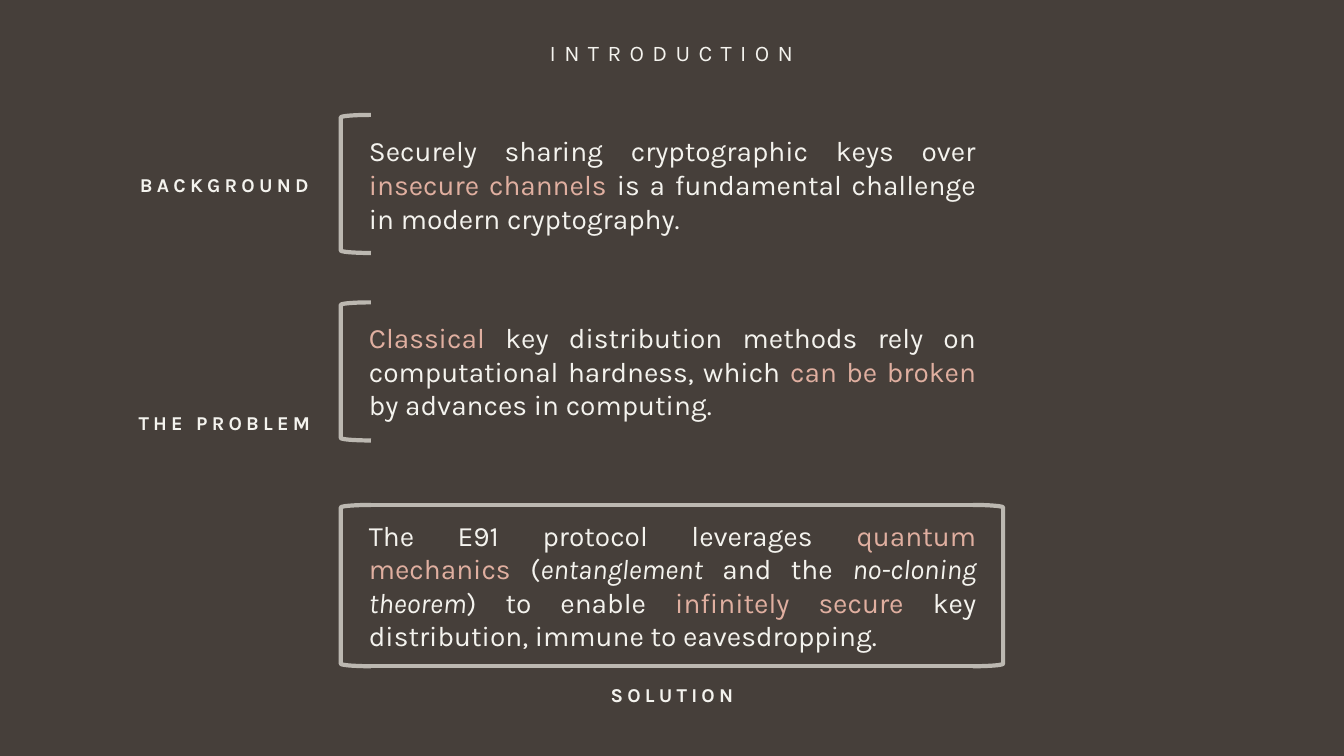
from dataclasses import dataclass

from lxml.etree import SubElement
from pptx import Presentation
from pptx.dml.color import RGBColor
from pptx.enum.shapes import MSO_CONNECTOR as Connector, MSO_SHAPE as Preset
from pptx.enum.text import MSO_ANCHOR as Anchor, MSO_AUTO_SIZE as AutoSize, PP_ALIGN as Align
from pptx.oxml.ns import qn
from pptx.util import Emu, Pt

EMU_PER_PX = 9144  # 100 px to the inch


@dataclass(frozen=True)
class Theme:
    font: str = "Karla"
    background: RGBColor = RGBColor(0x46, 0x3F, 0x3A)
    text: RGBColor = RGBColor(0xF4, 0xF3, 0xEE)
    accent: RGBColor = RGBColor(0xE0, 0xAF, 0xA0)
    frame: RGBColor = RGBColor(0xBC, 0xB8, 0xB1)
    title_size: int = 16
    body_size: int = 20
    label_size: int = 14
    title_spacing: int = 6
    label_spacing: int = 3
    frame_width: int = 3


@dataclass(frozen=True)
class Span:
    text: str
    accent: bool = False
    italic: bool = False


@dataclass(frozen=True)
class Box:
    left: int
    top: int
    width: int
    height: int


@dataclass(frozen=True)
class Section:
    label: str
    label_box: Box
    body_box: Box
    bracket_box: Box
    spans: tuple[Span, ...]
    framed: bool = False


THEME = Theme()
TITLE_BOX = Box(479, 34, 374, 37)
SECTIONS = (
    Section(
        "BACKGROUND", Box(82, 167, 281, 34), Box(356, 128, 622, 111), Box(338, 114, 30, 137),
        (
            Span("Securely sharing cryptographic keys over "),
            Span("insecure channels", accent=True),
            Span(" is a fundamental challenge in modern cryptography."),
        ),
    ),
    Section(
        "THE PROBLEM", Box(82, 403, 281, 34), Box(356, 313, 622, 111), Box(338, 300, 30, 137),
        (
            Span("Classical", accent=True),
            Span(" key distribution methods rely on computational hardness, which "),
            Span("can be broken ", accent=True),
            Span("by advances in computing."),
        ),
    ),
    Section(
        "SOLUTION", Box(526, 673, 281, 34), Box(356, 509, 622, 145), Box(338, 501, 30, 160),
        (
            Span("The E91 protocol leverages "),
            Span("quantum mechanics ", accent=True),
            Span("("),
            Span("entanglement", italic=True),
            Span(" and the "),
            Span("no-cloning theorem", italic=True),
            Span(") to enable "),
            Span("infinitely secure", accent=True),
            Span(" key distribution, immune to eavesdropping."),
        ),
        framed=True,
    ),
)
RIGHT_BRACKET_LEFT = 965


def px(length: int) -> Emu:
    return Emu(length * EMU_PER_PX)


def place(box: Box) -> tuple[Emu, Emu, Emu, Emu]:
    return px(box.left), px(box.top), px(box.width), px(box.height)


def prepare_frame(text_frame) -> None:
    text_frame.word_wrap = True
    text_frame.auto_size = AutoSize.SHAPE_TO_FIT_TEXT
    text_frame.vertical_anchor = Anchor.TOP


def format_run(run, size: int, color: RGBColor, spacing: int = 0) -> None:
    run.font.name = THEME.font
    run.font.size = Pt(size)
    run.font.color.rgb = color
    if spacing:
        run.font._element.set("spc", str(spacing * 100))


def add_title(slide, text: str) -> None:
    title = slide.shapes.title
    title.left, title.top, title.width, title.height = place(TITLE_BOX)
    prepare_frame(title.text_frame)
    title.text_frame.text = text
    paragraph = title.text_frame.paragraphs[0]
    paragraph.alignment = Align.CENTER
    format_run(paragraph.runs[0], THEME.title_size, THEME.text, THEME.title_spacing)


def add_label(slide, text: str, box: Box) -> None:
    text_frame = slide.shapes.add_textbox(*place(box)).text_frame
    prepare_frame(text_frame)
    text_frame.text = text
    paragraph = text_frame.paragraphs[0]
    paragraph.alignment = Align.CENTER
    run = paragraph.runs[0]
    format_run(run, THEME.label_size, THEME.text, THEME.label_spacing)
    run.font.bold = True


def add_body(slide, spans: tuple[Span, ...], box: Box) -> None:
    text_frame = slide.shapes.add_textbox(*place(box)).text_frame
    prepare_frame(text_frame)
    paragraph = text_frame.paragraphs[0]
    paragraph.alignment = Align.JUSTIFY
    for span in spans:
        run = paragraph.add_run()
        run.text = span.text
        format_run(run, THEME.body_size, THEME.accent if span.accent else THEME.text)
        run.font.italic = span.italic


def format_line(line) -> None:
    line.color.rgb = THEME.frame
    line.width = Pt(THEME.frame_width)


def add_bracket(slide, box: Box, flipped: bool = False) -> None:
    shape = slide.shapes.add_shape(Preset.LEFT_BRACKET, *place(box))
    shape.shadow.inherit = False
    shape.fill.background()
    format_line(shape.line)
    if flipped:
        shape._element.spPr.find(qn("a:xfrm")).set("flipH", "1")


def add_edge(slide, left: int, right: int, top: int) -> None:
    edge = slide.shapes.add_connector(Connector.STRAIGHT, px(left), px(top), px(right), px(top))
    format_line(edge.line)
    SubElement(edge._element.spPr, qn("a:effectLst"))


def add_section(slide, section: Section) -> None:
    add_body(slide, section.spans, section.body_box)
    bracket = section.bracket_box
    add_bracket(slide, bracket)
    if section.framed:
        # Close the bracket into a full frame
        right = Box(RIGHT_BRACKET_LEFT, bracket.top, bracket.width, bracket.height)
        add_bracket(slide, right, flipped=True)
        for top in (bracket.top, bracket.top + bracket.height):
            add_edge(slide, bracket.left + bracket.width, right.left, top)
    add_label(slide, section.label, section.label_box)


def main() -> None:
    presentation = Presentation()
    presentation.slide_width, presentation.slide_height = px(1333), px(750)
    title_only = presentation.slide_layouts.get_by_name("Title Only")
    slide = presentation.slides.add_slide(title_only)
    slide.background.fill.solid()
    slide.background.fill.fore_color.rgb = THEME.background

    # Title, then the three sections from top to bottom
    add_title(slide, "INTRODUCTION")
    for section in SECTIONS:
        add_section(slide, section)
    presentation.save("out.pptx")


if __name__ == "__main__":
    main()
